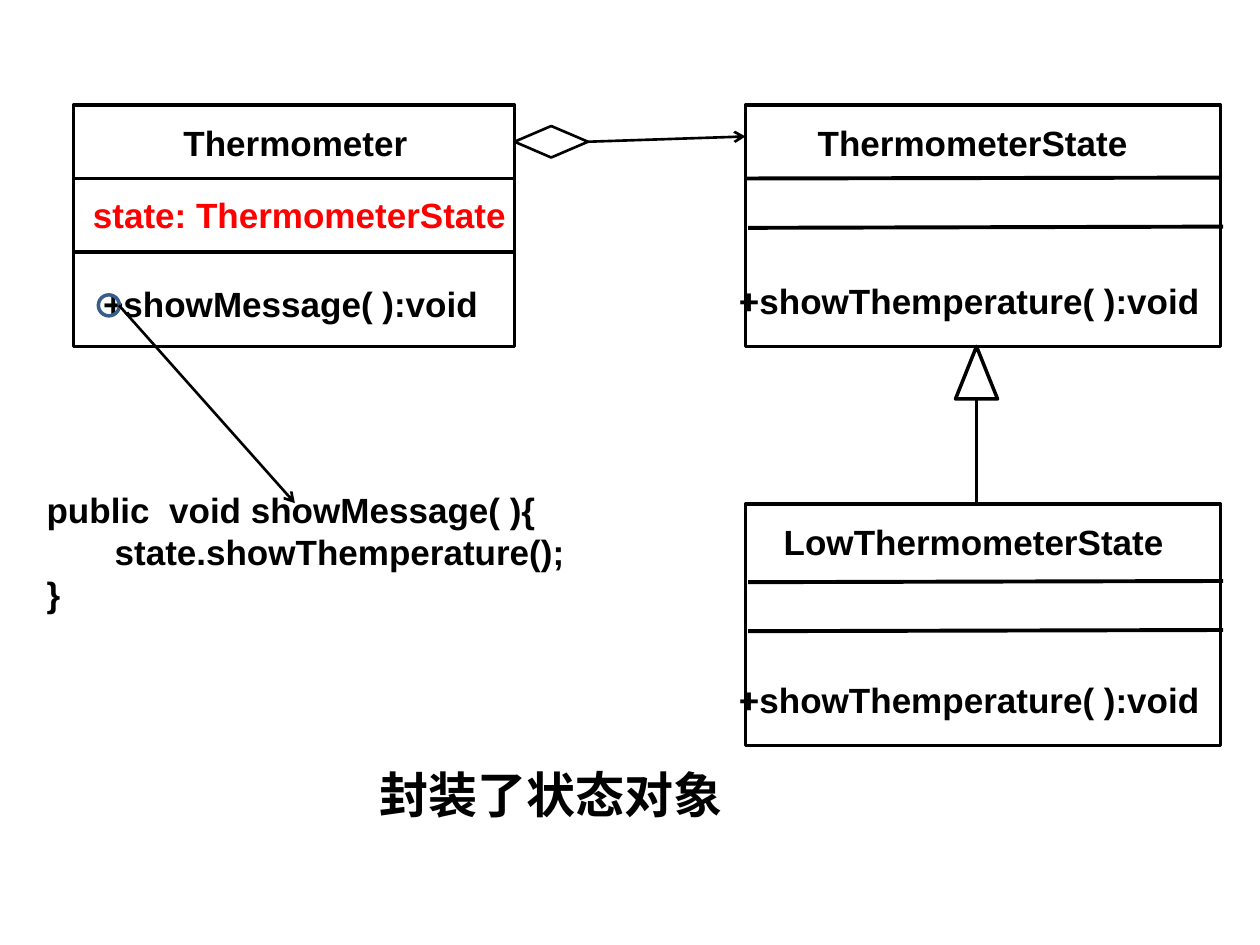
from lxml import etree
from pptx import Presentation
from pptx.dml.color import RGBColor
from pptx.enum.shapes import MSO_CONNECTOR, MSO_SHAPE
from pptx.enum.text import MSO_AUTO_SIZE
from pptx.oxml.ns import qn
from pptx.util import Pt

STRAIGHT = MSO_CONNECTOR.STRAIGHT
RECTANGLE, DIAMOND = MSO_SHAPE.RECTANGLE, MSO_SHAPE.DIAMOND
TRIANGLE, OVAL = MSO_SHAPE.ISOSCELES_TRIANGLE, MSO_SHAPE.OVAL
FIT_TEXT = MSO_AUTO_SIZE.SHAPE_TO_FIT_TEXT

COLORS = {"ink": "000000", "highlight": "FF0000", "marker": "385D8A"}
FONT = "Arial"
BOX_HEIGHT = 138
LABEL_HEIGHT = 31.5

# Class boxes: left, top, width
# Labels: text, offset from box left and top, width, colour
# Dividers: offset of left end, offsets of both ends from box top
METHOD = ("+showThemperature( ):void", -10.8, 96, 278, "ink")
CLASSES = [
    {"box": (42, 60, 252),
     "labels": [("Thermometer", 55.7, 6, 142.5, "ink"),
                ("state: ThermometerState", 4, 47, 250.5, "highlight"),
                ("+showMessage( ):void", 9.8, 97.9, 229, "ink")],
     "dividers": [(0, 42, 42), (0, 84, 84)]},
    {"box": (426, 60, 271.5),
     "labels": [("ThermometerState", 34.2, 6, 191.5, "ink"), METHOD],
     "dividers": [(0, 42, 41.5), (1.5, 70.2, 69.5)]},
    {"box": (426, 288, 271.5),
     "labels": [("LowThermometerState", 14.8, 6, 232, "ink"), METHOD],
     "dividers": [(1.5, 44.7, 44), (1.5, 72.7, 72)]},
]
CODE = ["public  void showMessage( ){",
        "       state.showThemperature();",
        "}"]
CAPTION = "封装了状态对象"


def color(name):
    return RGBColor.from_string(COLORS[name])


def add_outline(slide, kind, left, top, width, height, weight=2, line="ink"):
    shape = slide.shapes.add_shape(kind, Pt(left), Pt(top), Pt(width), Pt(height))
    shape.shadow.inherit = False
    shape.fill.background()
    shape.line.color.rgb = color(line)
    shape.line.width = Pt(weight)
    return shape


def add_line(slide, start, end, weight=1.5, arrow=False):
    connector = slide.shapes.add_connector(
        STRAIGHT, *(Pt(value) for value in (*start, *end)))
    connector.line.color.rgb = color("ink")
    connector.line.width = Pt(weight)
    properties = connector._element.spPr
    if arrow:
        etree.SubElement(properties.find(qn("a:ln")), qn("a:tailEnd"), type="arrow")
    etree.SubElement(properties, qn("a:effectLst"))
    return connector


def add_text(slide, lines, left, top, width, height, size=20, ink="ink"):
    box = slide.shapes.add_textbox(Pt(left), Pt(top), Pt(width), Pt(height))
    frame = box.text_frame
    frame.word_wrap = False
    frame.auto_size = FIT_TEXT
    for index, line in enumerate(lines):
        paragraph = frame.add_paragraph() if index else frame.paragraphs[0]
        paragraph.text = line
        paragraph.font.name = FONT
        paragraph.font.size = Pt(size)
        paragraph.font.bold = True
        paragraph.font.color.rgb = color(ink)


def add_class(slide, item):
    left, top, width = item["box"]
    add_outline(slide, RECTANGLE, left, top, width, BOX_HEIGHT)
    for text, dx, dy, label_width, ink in item["labels"]:
        add_text(slide, [text], left + dx, top + dy, label_width, LABEL_HEIGHT, ink=ink)
    for dx, start_y, end_y in item["dividers"]:
        add_line(slide, (left + dx, top + start_y),
                 (left + dx + width, top + end_y), weight=2.25)


def main():
    presentation = Presentation()
    presentation.slide_width, presentation.slide_height = Pt(720), Pt(540)
    slide = presentation.slides.add_slide(presentation.slide_layouts[6])

    for item in CLASSES:
        add_class(slide, item)

    # Aggregation from Thermometer to ThermometerState
    diamond = add_outline(slide, DIAMOND, 294, 72, 42, 18, weight=1.5)
    aggregation = add_line(slide, (336, 81), (426, 78), arrow=True)
    aggregation.begin_connect(diamond, 3)

    # Inheritance from LowThermometerState to ThermometerState
    add_outline(slide, TRIANGLE, 546, 198, 24, 30)
    add_line(slide, (558, 228), (558, 288))

    # Method marker and its code
    add_outline(slide, OVAL, 56.2, 168.5, 12, 12, line="marker")
    add_line(slide, (68, 174.5), (168.5, 287.5), arrow=True)
    add_text(slide, CODE, 19.6, 275.6, 310.5, 79)

    # Caption
    add_text(slide, [CAPTION], 209.8, 433.5, 210.5, 41, size=28)

    presentation.save("out.pptx")


if __name__ == "__main__":
    main()
